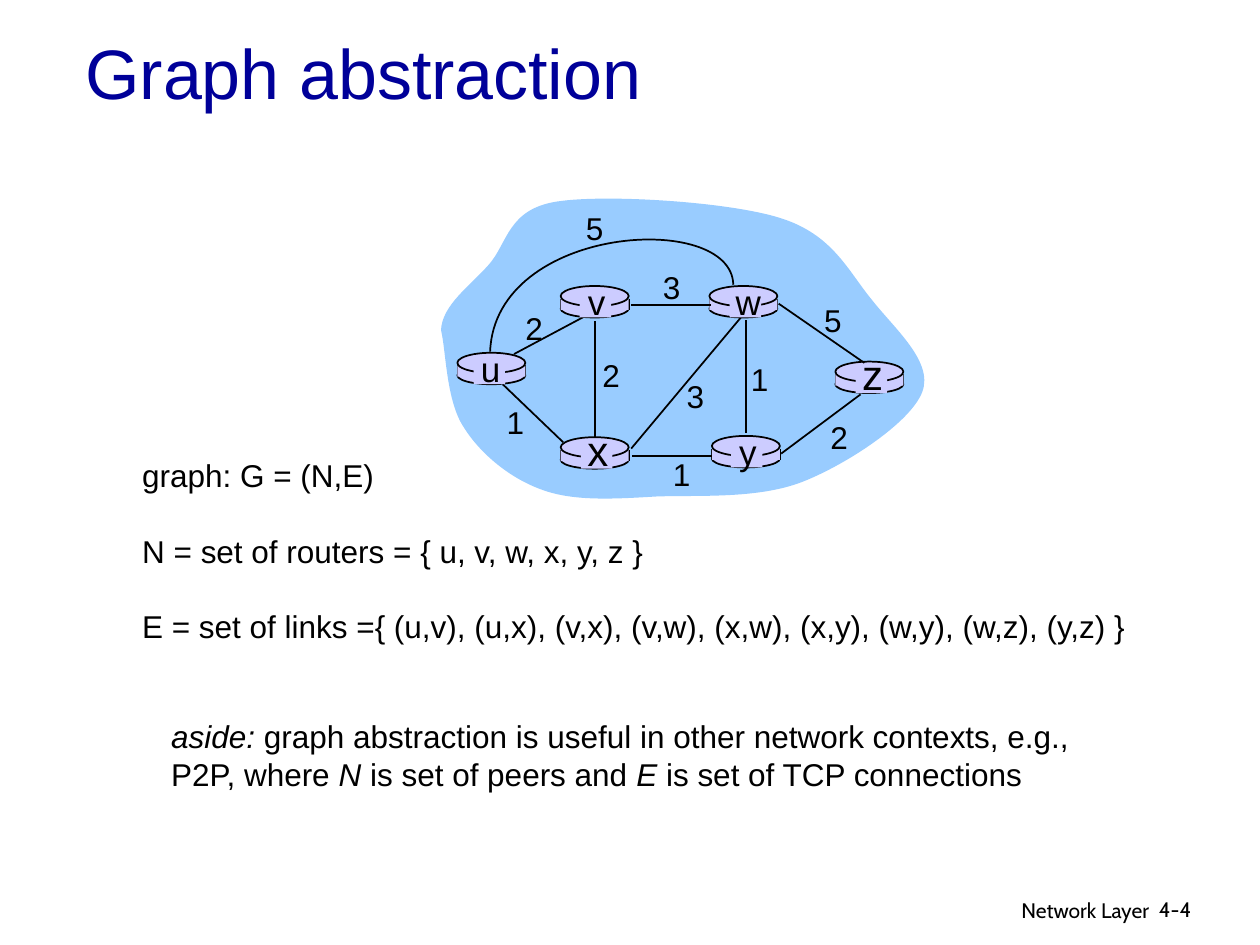
from lxml import etree
from pptx import Presentation
from pptx.dml.color import RGBColor
from pptx.enum.shapes import MSO_CONNECTOR, MSO_SHAPE
from pptx.enum.text import MSO_ANCHOR, MSO_AUTO_SIZE, PP_ALIGN
from pptx.oxml.ns import qn
from pptx.util import Pt

PX = 9144  # 100 px to the inch
OVAL, RECT = MSO_SHAPE.OVAL, MSO_SHAPE.RECTANGLE
STRAIGHT = MSO_CONNECTOR.STRAIGHT
LEFT, CENTER, RIGHT = PP_ALIGN.LEFT, PP_ALIGN.CENTER, PP_ALIGN.RIGHT
TOP, MIDDLE = MSO_ANCHOR.TOP, MSO_ANCHOR.MIDDLE
GROW, FIXED = MSO_AUTO_SIZE.SHAPE_TO_FIT_TEXT, MSO_AUTO_SIZE.NONE
BLACK, NAVY, SKY, LILAC = "000000", "000099", "99CCFF", "CCCCFF"

# Routers: left and top of each body, inset and size of its letter
ROUTERS = {
    "u": (363, 280, 13, 20), "x": (445, 347, 16, 24), "v": (445, 227, 15, 20),
    "w": (563, 227, 16, 20), "y": (565, 346, 15, 20), "z": (663, 287, 16, 24),
}
LINKS = [
    (592, 254, 592, 344), (472, 255, 472, 348), (501, 356, 588, 252),
    (620, 360, 683, 313), (565, 362, 502, 362), (447, 351, 399, 305),
    (564, 242, 501, 242), (686, 288, 618, 241),
]
COSTS = [
    ("2", 407, 240), ("2", 468, 278), ("1", 392, 315), ("3", 535, 294),
    ("1", 524, 356), ("1", 586, 281), ("2", 649, 327), ("5", 644, 234),
    ("3", 516, 208), ("5", 455, 161),
]
CLOUD = [
    (350, 262), (351, 242), (373, 227), (388, 210), (403, 193), (403, 166),
    (442, 160), (480, 154), (578, 160), (619, 173), (661, 186), (673, 215),
    (692, 238), (710, 261), (741, 287), (732, 311), (723, 335), (673, 368),
    (638, 382), (603, 396), (557, 393), (522, 394), (488, 396), (456, 398),
    (431, 389), (405, 380), (381, 360), (368, 339), (354, 318), (354, 278),
    (350, 262),
]
ARC = [(582, 226), (581, 167), (393, 178), (389, 279)]


def color(value):
    return RGBColor.from_string(value)


def style(shape, fill=None, line=None):
    shape.shadow.inherit = False
    if fill:
        shape.fill.solid()
        shape.fill.fore_color.rgb = color(fill)
    else:
        shape.fill.background()
    if line:
        shape.line.color.rgb = color(line)
        shape.line.width = Pt(1)
    else:
        shape.line.fill.background()


def add_shape(page, kind, box, fill, line=None):
    shape = page.shapes.add_shape(kind, *(v * PX for v in box))
    style(shape, fill, line)


def add_line(page, ends):
    line = page.shapes.add_connector(STRAIGHT, *(v * PX for v in ends))
    line.line.color.rgb = color(BLACK)
    line.line.width = Pt(1)
    etree.SubElement(line._element.spPr, qn("a:effectLst"))


def add_curve(page, knots, fill=None, line=None):
    """Draws a chain of cubic curves; every third knot lies on the outline."""
    builder = page.shapes.build_freeform(*knots[0], scale=PX)
    builder.add_line_segments(knots[1:], close=fill is not None)
    shape = builder.convert_to_shape()
    # Join each three straight segments into one curve
    segments = list(shape._element.iter(qn("a:lnTo")))[:len(knots) - 1]
    for start in range(0, len(segments), 3):
        first, *others = segments[start:start + 3]
        first.tag = qn("a:cubicBezTo")
        for segment in others:
            first.append(segment[0])
            segment.getparent().remove(segment)
    style(shape, fill, line)


def add_text(page, box, paragraphs, size, align=LEFT, font="Arial", ink=BLACK,
             anchor=TOP, wrap=False, gap=0):
    """Each paragraph is a list of (text, italic) spans."""
    frame = page.shapes.add_textbox(*(v * PX for v in box)).text_frame
    frame.word_wrap = wrap
    frame.auto_size = FIXED if wrap else GROW
    frame.vertical_anchor = anchor
    for number, spans in enumerate(paragraphs):
        para = frame.add_paragraph() if number else frame.paragraphs[0]
        para.alignment = align
        if number and gap:
            para.space_before = Pt(gap)
        para.font.name = font
        para.font.size = Pt(size)
        para.font.color.rgb = color(ink)
        for text, italic in spans:
            span = para.add_run()
            span.text = text
            if italic:
                span.font.italic = True


def add_router(page, left, top):
    add_shape(page, OVAL, (left, top + 11, 54, 14), LILAC, BLACK)
    for x in (left, left + 54):
        add_line(page, (x, top + 10, x, top + 19))
    add_shape(page, RECT, (left, top + 10, 54, 9), LILAC)
    add_shape(page, OVAL, (left, top, 54, 16), LILAC, BLACK)


def add_router_name(page, left, top, name, size):
    add_shape(page, RECT, (left, top + 2, 25, 23), LILAC)
    rise, height = (9, 43) if size == 20 else (15, 50)
    add_text(page, (left - 5, top - rise, 37, height), [[(name, False)]], size, CENTER)


def add_graph(page):
    # Cloud and the link that runs behind the routers
    add_curve(page, CLOUD, fill=SKY)
    add_line(page, (408, 281, 468, 249))
    for left, top, *_ in ROUTERS.values():
        add_router(page, left, top)
    # Links in front
    for ends in LINKS:
        add_line(page, ends)
    add_curve(page, ARC, line=BLACK)
    # Router names and link costs
    for name, (left, top, inset, size) in ROUTERS.items():
        add_router_name(page, left + inset, top, name, size)
    for cost, left, top in COSTS:
        add_text(page, (left, top, 34, 40), [[(cost, False)]], 18, CENTER)


def add_definitions(page, box):
    lines = [
        "graph: G = (N,E)",
        "N = set of routers = { u, v, w, x, y, z }",
        "E = set of links ={ (u,v), (u,x), (v,x), (v,w), (x,w), (x,y), (w,y), (w,z), (y,z) }",
    ]
    add_text(page, box, [[(line, False)] for line in lines], 18, gap=21.6)


def add_aside(page, box):
    add_text(page, box, [
        [("aside:", True),
         (" graph abstraction is useful in other network contexts, e.g.,", False)],
        [("P2P, where ", False), ("N", True), (" is set of peers and ", False),
         ("E", True), (" is set of TCP connections", False)],
    ], 18)


def add_footer(page):
    add_text(page, (605, 707, 317, 31), [[("Network Layer", False)]], 12, RIGHT,
             "Cabin", wrap=True)
    add_text(page, (910, 707, 74, 30), [[("4-4", False)]], 12, font="Cabin", wrap=True)


def main():
    deck = Presentation()
    deck.slide_width, deck.slide_height = 1000 * PX, 750 * PX
    page = deck.slides.add_slide(deck.slide_layouts[6])
    add_footer(page)
    add_graph(page)
    add_definitions(page, (103, 357, 809, 160))
    add_text(page, (58, 23, 850, 67), [[("Graph abstraction", False)]], 40,
             ink=NAVY, anchor=MIDDLE, wrap=True)
    add_aside(page, (126, 564, 740, 70))
    deck.save("out.pptx")


if __name__ == "__main__":
    main()
